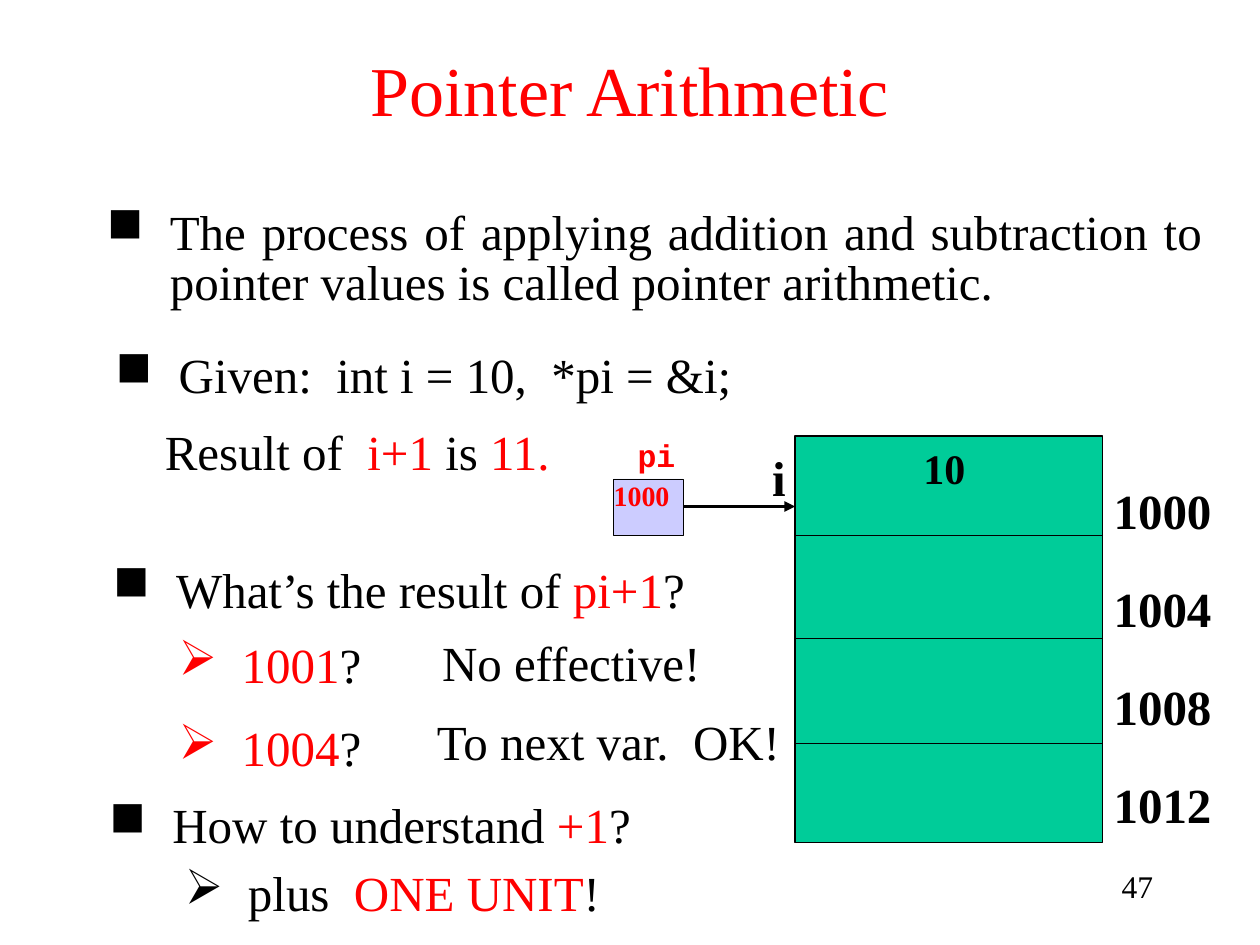
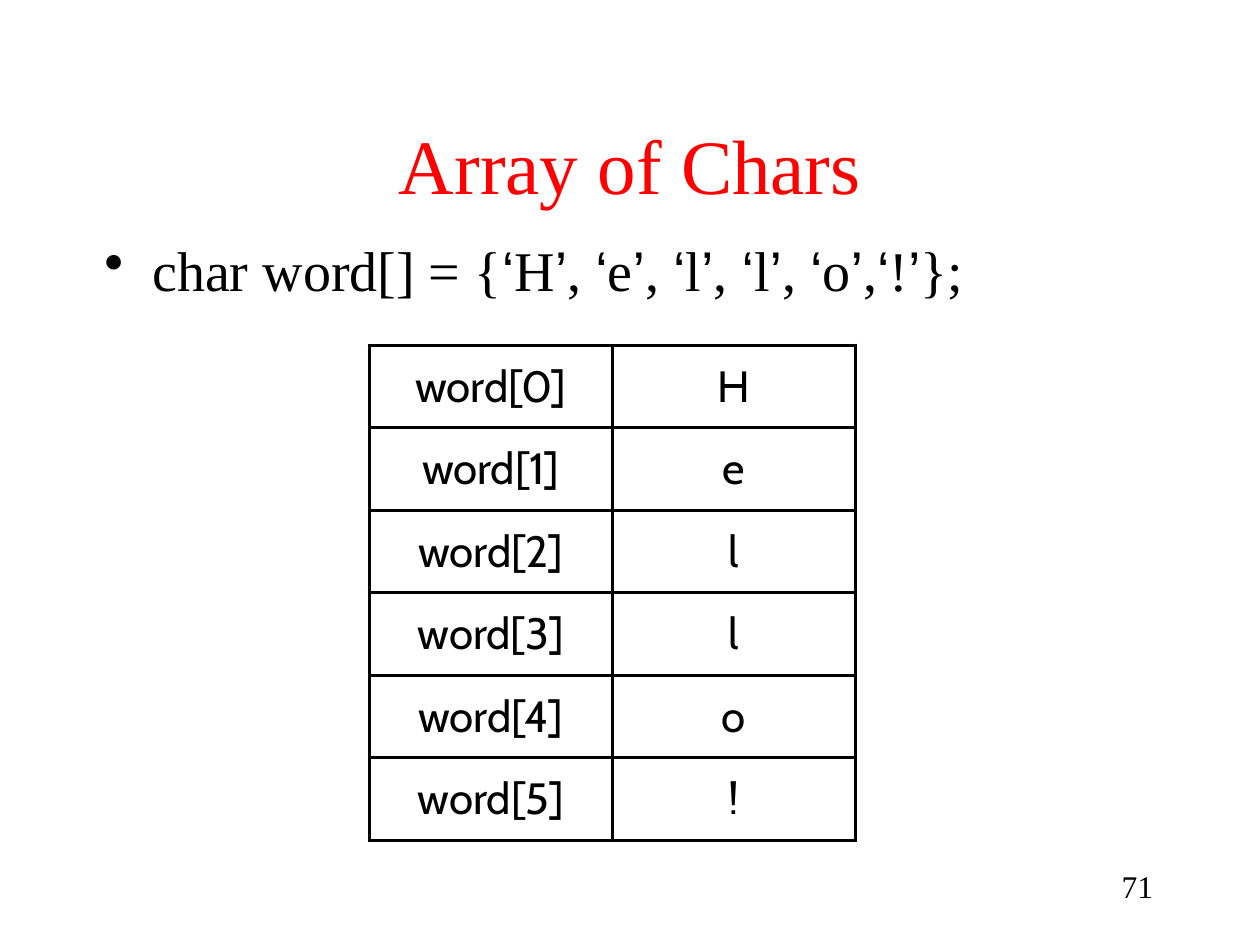
import pptx
import pptx.dml.color
import pptx.enum.shapes
import pptx.enum.text
import pptx.oxml
import pptx.oxml.ns
import pptx.util

PX = 9144  # 100 px to the inch
BLACK, RED, GREEN, LILAC = "000000", "FF0000", "00CC99", "CCCCFF"
SERIF, SANS, MONO, TABLE_FONT = "Times New Roman", "Arial", "Courier New", "Cabin"
ALIGN = pptx.enum.text.PP_ALIGN
ANCHOR = pptx.enum.text.MSO_ANCHOR
SHAPES = pptx.enum.shapes
PAGE_NUMBER_BOX = (717, 683, 208, 50)


def color(value):
    return pptx.dml.color.RGBColor.from_string(value)


def add_text(slide, box, paragraphs, size, align=ALIGN.LEFT, anchor=ANCHOR.TOP, bold=False,
             font=SERIF, spacing=None, after=None, margins=True, wrap=True, fill=None, line=0.75):
    """Each paragraph is (left, hanging, bullet, runs); each run is (text, colour[, font])."""
    box = [length * PX for length in box]
    if fill:
        shape = slide.shapes.add_shape(SHAPES.MSO_SHAPE.RECTANGLE, *box)
        shape.shadow.inherit = False
        shape.fill.solid()
        shape.fill.fore_color.rgb = color(fill)
        shape.line.color.rgb = color(BLACK)
        shape.line.width = pptx.util.Pt(line)
    else:
        shape = slide.shapes.add_textbox(*box)
    frame = shape.text_frame
    frame.word_wrap = wrap
    frame.vertical_anchor = anchor
    if not margins:
        frame.margin_left = frame.margin_top = frame.margin_right = frame.margin_bottom = 0
    for index, (left, hanging, bullet, runs) in enumerate(paragraphs):
        paragraph = frame.add_paragraph() if index else frame.paragraphs[0]
        properties = paragraph._p.get_or_add_pPr()
        properties.set("marL", str(left * PX))
        properties.set("indent", str(-hanging * PX))
        if bullet:
            mark = pptx.oxml.parse_xml(f'<a:buChar {pptx.oxml.ns.nsdecls("a")} char="{bullet}"/>')
            properties.append(mark)
        paragraph.alignment = align
        if spacing:
            paragraph.line_spacing = spacing
        if after:
            paragraph.space_after = pptx.util.Pt(after)
        for text, run_color, *run_font in runs:
            run = paragraph.add_run()
            run.text = text
            run.font.name = run_font[0] if run_font else font
            run.font.size = pptx.util.Pt(size)
            run.font.bold = bold
            run.font.color.rgb = color(run_color)


presentation = pptx.Presentation()
presentation.slide_width = 1000 * PX
presentation.slide_height = 750 * PX

# Title and page number of both slides
slides = []
for title, title_box, title_size, number in [
    ("Pointer Arithmetic", (0, 8, 1000, 125), 40, "47"),
    ("Array of Chars", (75, 67, 850, 125), 44, "71"),
]:
    slide = presentation.slides.add_slide(presentation.slide_layouts[6])
    slides.append(slide)
    add_text(slide, title_box, [(0, 0, None, [(title, RED)])], title_size,
             align=ALIGN.CENTER, anchor=ANCHOR.MIDDLE)
    add_text(slide, PAGE_NUMBER_BOX, [(0, 0, None, [(number, BLACK)])], 18, align=ALIGN.RIGHT)
pointer_slide, array_slide = slides

# Pointer slide: statements, questions and answers
statements = [
    ((75, 162, 889, 110), [(50, 50, "■", [
        ("The process of applying addition and subtraction to pointer values "
         "is called pointer arithmetic.", BLACK)])]),
    ((82, 276, 889, 150), [
        (50, 50, "■", [("Given:  int i = 10,  *pi = &i;", BLACK)]),
        (39, 0, None, [("Result of  ", BLACK), ("i+1 ", RED), ("is", BLACK), (" 11.", RED)])]),
    ((80, 446, 496, 62), [(50, 50, "■", [
        ("What’s the result of", BLACK), (" pi+1", RED), ("?", BLACK)])]),
    ((82, 506, 496, 62), [(100, 50, "➢", [("1001", RED), ("?", BLACK)])]),
    ((291, 504, 312, 62), [(50, 0, None, [("No effective!", BLACK)])]),
    ((82, 572, 496, 62), [(100, 50, "➢", [("1004", RED), ("?", BLACK)])]),
    ((287, 567, 343, 62), [(50, 0, None, [("To next var.  OK!", BLACK)])]),
    ((77, 633, 496, 62), [(50, 50, "■", [
        ("How to understand ", BLACK), ("+1", RED), ("?", BLACK)])]),
    ((137, 687, 496, 62), [(50, 50, "➢", [
        ("plus", BLACK), ("  ONE UNIT", RED), ("!", BLACK)])]),
]
for box, paragraphs in statements:
    add_text(pointer_slide, box, paragraphs, 28, align=ALIGN.JUSTIFY, spacing=0.85, after=15)

# Memory block with its addresses, and the pointer variable
add_text(pointer_slide, (631, 346, 244, 323), [(92, 0, None, [("10", BLACK)])], 24,
         bold=True, fill=GREEN)
addresses = [(0, 0, None, [(str(address), BLACK)]) for address in range(1000, 1013, 4)]
add_text(pointer_slide, (874, 345, 126, 324), addresses, 28, bold=True,
         spacing=pptx.util.Pt(56))
add_text(pointer_slide, (603, 319, 28, 89), [(0, 0, None, [("i", BLACK)])], 28, bold=True,
         spacing=pptx.util.Pt(56), wrap=False)
add_text(pointer_slide, (506, 346, 42, 34), [(0, 0, None, [("pi", RED)])], 18, bold=True,
         font=MONO, margins=False)
add_text(pointer_slide, (487, 380, 55, 45), [(0, 0, None, [("1000", RED)])], 16, bold=True,
         margins=False, fill=LILAC, line=0.25)

# Cell dividers, and the arrow from pointer to memory
for left, right, y, width, is_arrow in [
    (631, 875, 425, 0.75, False),
    (631, 875, 507, 0.75, False),
    (631, 875, 590, 0.75, False),
    (542, 631, 402, 2, True),
]:
    connector = pointer_slide.shapes.add_connector(
        SHAPES.MSO_CONNECTOR.STRAIGHT, left * PX, y * PX, right * PX, y * PX)
    connector.line.color.rgb = color(BLACK)
    connector.line.width = pptx.util.Pt(width)
    namespace = pptx.oxml.ns.nsdecls("a")
    if is_arrow:
        connector.line._get_or_add_ln().append(
            pptx.oxml.parse_xml(f'<a:tailEnd {namespace} type="triangle"/>'))
    connector._element.spPr.append(pptx.oxml.parse_xml(f"<a:effectLst {namespace}/>"))

# Array slide: declaration with sans-serif quotation marks
letters = "Hello!"
declaration = [("char word[] = {", BLACK)]
for letter, separator in zip(letters, [", ", ", ", ", ", ", ", ",", "};"]):
    declaration += [("‘", BLACK, SANS), (letter, BLACK), ("’", BLACK, SANS), (separator, BLACK)]
add_text(array_slide, (43, 182, 921, 70), [(68, 38, "•", declaration)], 32)

# Array slide: table of elements
table = array_slide.shapes.add_table(
    len(letters), 2, 293 * PX, 274 * PX, 386 * PX, 393 * PX).table
table.first_row = False
table.horz_banding = False
for row, letter in enumerate(letters):
    for column, text in enumerate([f"word[{row}]", letter]):
        cell = table.cell(row, column)
        cell.margin_left = cell.margin_right = cell.margin_top = cell.margin_bottom = 4 * PX
        cell.vertical_anchor = ANCHOR.MIDDLE
        for side in ["lnL", "lnR", "lnT", "lnB"]:
            cell._tc.get_or_add_tcPr().append(pptx.oxml.parse_xml(
                f'<a:{side} {pptx.oxml.ns.nsdecls("a")} w="{pptx.util.Pt(2)}">'
                f'<a:solidFill><a:srgbClr val="{BLACK}"/></a:solidFill></a:{side}>'))
        cell.fill.background()
        paragraph = cell.text_frame.paragraphs[0]
        paragraph.alignment = ALIGN.CENTER
        run = paragraph.add_run()
        run.text = text
        run.font.name = TABLE_FONT
        run.font.size = pptx.util.Pt(25)
        run.font.color.rgb = color(BLACK)

presentation.save("out.pptx")
